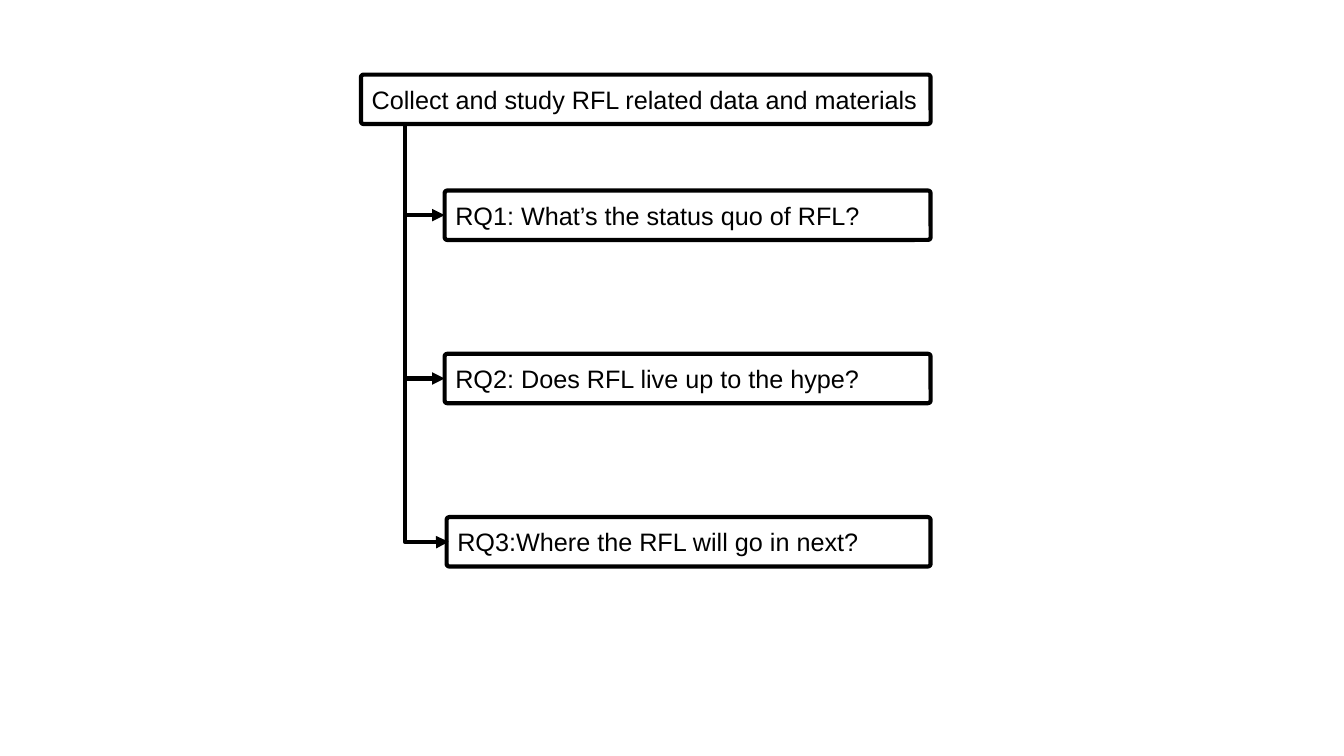
from pptx import Presentation
from pptx.dml.color import RGBColor
from pptx.enum.shapes import MSO_CONNECTOR as Link, MSO_SHAPE as Shape
from pptx.enum.text import MSO_ANCHOR as Anchor, PP_ALIGN as Align
from pptx.oxml import parse_xml
from pptx.oxml.ns import nsdecls, qn
from pptx.util import Inches, Pt

TOPIC = "Collect and study RFL related data and materials"
# text, left edge
ASKS = [
    ("RQ1: What’s the status quo of RFL?", 4.41),
    ("RQ2: Does RFL live up to the hype?", 4.41),
    ("RQ3:Where the RFL will go in next?", 4.43),
]
THEME = {"ink": RGBColor(0, 0, 0), "font": "Arial", "size": 18, "line": 3}

LEFT, RIGHT, HIGH = 3.58, 9.23, 0.49
TOP, FIRST, STEP = 0.74, 1.89, 1.62
TRUNK = 4.02


def put_text(shape, text, size=THEME["size"], color=THEME["ink"], align=Align.LEFT):
    frame = shape.text_frame
    frame.word_wrap = True
    frame.vertical_anchor = Anchor.MIDDLE
    para = frame.paragraphs[0]
    para.alignment = align
    run = para.add_run()
    run.text = text
    run.font.name = THEME["font"]
    run.font.size = Pt(size)
    run.font.color.rgb = color


def ink(line):
    line.color.rgb = THEME["ink"]
    line.width = Pt(THEME["line"])


def add_box(slide, text, left, top):
    box = slide.shapes.add_shape(
        Shape.ROUNDED_RECTANGLE,
        Inches(left), Inches(top), Inches(RIGHT - left), Inches(HIGH))
    box.adjustments[0] = 0.054
    box.shadow.inherit = False
    box.fill.background()
    ink(box.line)
    put_text(box, text)


def add_arrow(slide, kind, x1, y1, x2, y2):
    arrow = slide.shapes.add_connector(
        kind, Inches(x1), Inches(y1), Inches(x2), Inches(y2))
    ink(arrow.line)
    tail = parse_xml(f'<a:tailEnd {nsdecls("a")} type="triangle"/>')
    arrow.line._get_or_add_ln().append(tail)
    props = arrow._element.spPr
    props.append(parse_xml(f'<a:effectLst {nsdecls("a")}/>'))
    return props


def add_elbow(slide, x1, y1, x2, y2):
    """Arrow that runs down first, then right: a turned, flipped elbow."""
    midx, midy = (x1 + x2) / 2, (y1 + y2) / 2
    wide, high = y2 - y1, x2 - x1
    left, top = midx - wide / 2, midy - high / 2
    props = add_arrow(slide, Link.ELBOW, left, top, left + wide, top + high)
    turn = props.find(qn("a:xfrm"))
    turn.set("rot", str(270 * 60000))
    turn.set("flipH", "1")
    geom = props.find(qn("a:prstGeom"))
    geom.find(qn("a:avLst")).append(parse_xml(
        f'<a:gd {nsdecls("a")} name="adj1" fmla="val 100100"/>'))


def main():
    deck = Presentation()
    deck.slide_width, deck.slide_height = Inches(13.33), Inches(7.5)
    slide = deck.slides.add_slide(deck.slide_layouts[6])

    add_box(slide, TOPIC, LEFT, TOP)
    for i, (text, left) in enumerate(ASKS):
        top = FIRST + i * STEP
        mid = top + HIGH / 2
        if i == len(ASKS) - 1:
            add_elbow(slide, TRUNK, TOP + HIGH, left + 0.02, mid)
        else:
            add_arrow(slide, Link.STRAIGHT, TRUNK, mid, left, mid)
        add_box(slide, text, left, top)

    deck.save("out.pptx")


if __name__ == "__main__":
    main()
